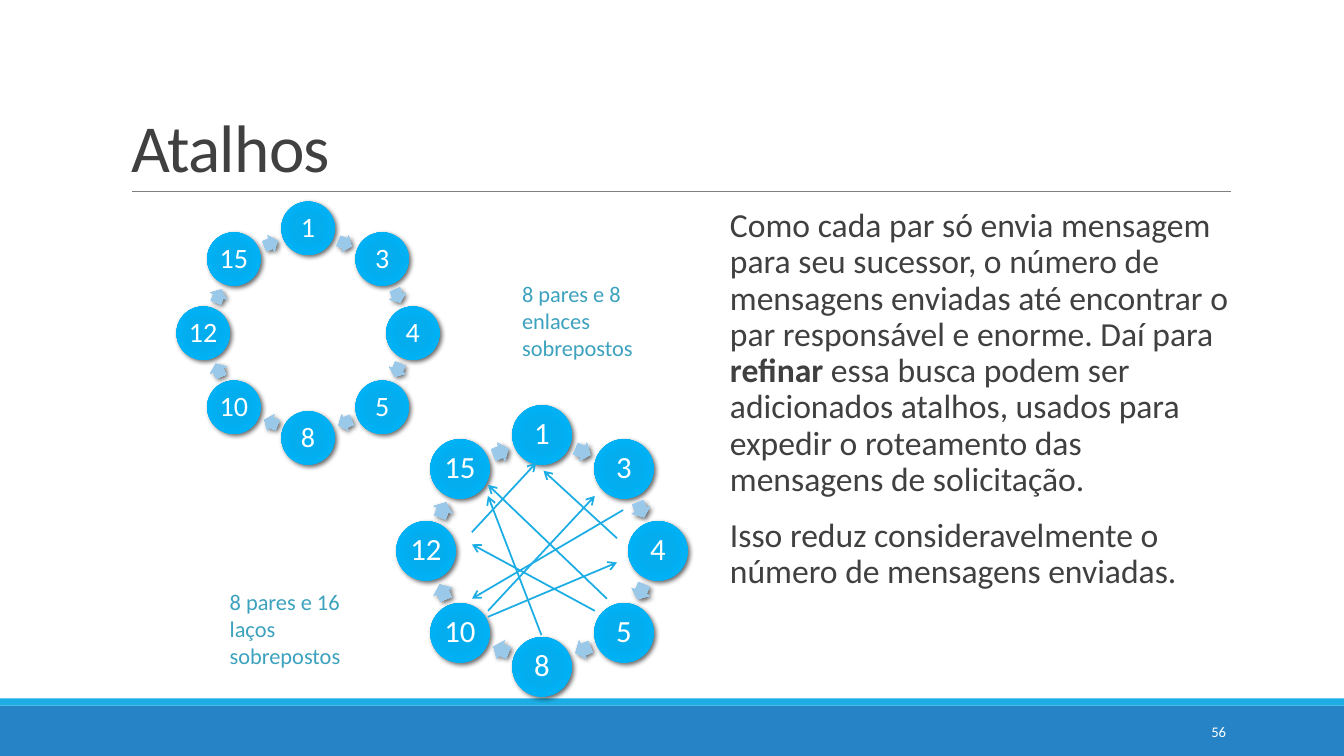
"""Builds the slide about shortcuts in a ring of peers."""
import math

import lxml.etree
import pptx
import pptx.dml.color
import pptx.enum.shapes
import pptx.enum.text
import pptx.oxml
import pptx.oxml.ns
import pptx.util

SHAPE = pptx.enum.shapes.MSO_SHAPE
ALIGN = pptx.enum.text.PP_ALIGN
ANCHOR = pptx.enum.text.MSO_ANCHOR
NONE = pptx.enum.text.MSO_AUTO_SIZE.NONE
PX = 9144
NAMESPACE = pptx.oxml.ns.nsdecls("a")

TITLE = "Atalhos"
BODY = [
    [
        ("Como cada par só envia mensagem para seu sucessor, o número de mensagens enviadas "
         "até encontrar o par responsável e enorme. Daí para ", False),
        ("refinar", True),
        (" essa busca podem ser adicionados atalhos, usados para expedir o roteamento das "
         "mensagens de solicitação.", False),
    ],
    [("Isso reduz consideravelmente o número de mensagens enviadas.", False)],
]
CAPTIONS = [
    ("8 pares e 8 enlaces sobrepostos", (508, 273, 153, 91)),
    ("8 pares e 16 laços sobrepostos", (218, 579, 153, 91)),
]
PAGE_NUMBER = "56"
BANDS = [((0, 700, 1333, 50), "2683C6"), ((0, 693, 1333, 7), "1CADE4")]
PEERS = ["1", "3", "4", "5", "8", "10", "12", "15"]
RINGS = [
    {"left": 393, "top": 402, "size": 289, "peer": 59, "arrow": (16, 20), "font": 22},
    {"left": 175, "top": 200, "size": 261, "peer": 53, "arrow": (14, 18), "font": 20},
]
SHORTCUTS = [
    (484, 606, 590, 492), (537, 630, 484, 492), (484, 612, 612, 558), (612, 534, 539, 467),
    (590, 606, 468, 540), (468, 528, 532, 459), (602, 594, 484, 481), (618, 506, 468, 594),
]
PEER_STOPS = [(0, "00ADEF"), (34, "03ADEE"), (70, "00B1F5"), (100, "12B1EE")]
ARROW_STOPS = [(0, "97C6E8"), (34, "9AC8E9"), (70, "9BCBEE"), (100, "A9D3F3")]


def color(value):
    return pptx.dml.color.RGBColor.from_string(value)


def scaled(lengths):
    return [round(length * PX) for length in lengths]


def apply(target, values):
    for name, value in values.items():
        setattr(target, name, value)


def format_frame(frame, margins=(10, 5, 10, 5), **values):
    sides = ("margin_left", "margin_top", "margin_right", "margin_bottom")
    apply(frame, dict(zip(sides, scaled(margins))))
    apply(frame, {"word_wrap": True, "auto_size": NONE, **values})


def write(paragraph, pieces, size, hex_color, **values):
    apply(paragraph, values)
    for text, bold in pieces:
        run = paragraph.add_run()
        run.text = text
        apply(run.font, {"name": "Calibri", "size": pptx.util.Pt(size), "bold": bold})
        run.font.color.rgb = color(hex_color)


def add_text(slide, box, text, size, hex_color, anchor=ANCHOR.TOP, **values):
    frame = slide.shapes.add_textbox(*scaled(box)).text_frame
    format_frame(frame, vertical_anchor=anchor)
    write(frame.paragraphs[0], [(text, False)], size, hex_color, **values)


def add_line(slide, ends, hex_color, width, arrow=False):
    line = slide.shapes.add_connector(
        pptx.enum.shapes.MSO_CONNECTOR.STRAIGHT, *scaled(ends))
    line.line.color.rgb = color(hex_color)
    line.line.width = pptx.util.Pt(width)
    properties = line._element.spPr
    if arrow:
        outline = properties.find(pptx.oxml.ns.qn("a:ln"))
        lxml.etree.SubElement(outline, pptx.oxml.ns.qn("a:tailEnd"), type="arrow")
    lxml.etree.SubElement(properties, pptx.oxml.ns.qn("a:effectLst"))


def add_glossy(slide, kind, center, size, stops):
    box = [middle - length / 2 for middle, length in zip(center, size)] + list(size)
    shape = slide.shapes.add_shape(kind, *scaled(box))
    shape.line.fill.background()
    shape.fill.background()
    shape.shadow.inherit = False
    properties = shape._element.spPr
    stop_list = "".join(
        f'<a:gs pos="{position * 1000}"><a:srgbClr val="{value}"/></a:gs>'
        for position, value in stops)
    gradient = pptx.oxml.parse_xml(
        f'<a:gradFill {NAMESPACE} rotWithShape="1"><a:gsLst>{stop_list}</a:gsLst>'
        '<a:path path="circle"><a:fillToRect l="100000" t="100000" r="100000" b="100000"/>'
        '</a:path></a:gradFill>')
    properties.replace(properties.find(pptx.oxml.ns.qn("a:noFill")), gradient)
    properties.find(pptx.oxml.ns.qn("a:effectLst")).append(pptx.oxml.parse_xml(
        f'<a:outerShdw {NAMESPACE} blurRad="44450" dist="25400" dir="2700000" algn="br" '
        'rotWithShape="0"><a:srgbClr val="000000"><a:alpha val="60000"/></a:srgbClr>'
        '</a:outerShdw>'))
    return shape


def add_ring(slide, ring):
    middle_x, middle_y = (ring[side] + ring["size"] / 2 for side in ("left", "top"))
    radius = (ring["size"] - ring["peer"]) / 2
    step = 360 / len(PEERS)

    def place(angle, distance):
        turn = math.radians(angle)
        return middle_x + distance * math.sin(turn), middle_y - distance * math.cos(turn)

    for index, name in enumerate(PEERS):
        peer = add_glossy(slide, SHAPE.OVAL, place(index * step, radius),
                          (ring["peer"], ring["peer"]), PEER_STOPS)
        format_frame(peer.text_frame, (3, 3, 3, 3), word_wrap=False,
                     vertical_anchor=ANCHOR.MIDDLE)
        write(peer.text_frame.paragraphs[0], [(name, False)], ring["font"], "FFFFFF",
              alignment=ALIGN.CENTER, line_spacing=0.9)
        angle = (index + 0.5) * step
        chord = radius * math.cos(math.radians(step / 2))
        arrow = add_glossy(slide, SHAPE.RIGHT_ARROW, place(angle, chord), ring["arrow"],
                           ARROW_STOPS)
        arrow.adjustments[0] = 0.6
        arrow.rotation = angle


def main():
    presentation = pptx.Presentation()
    apply(presentation, dict(zip(("slide_width", "slide_height"), scaled((1333, 750)))))
    slide = presentation.slides.add_slide(presentation.slide_layouts[5])
    for box, value in BANDS:
        band = slide.shapes.add_shape(SHAPE.RECTANGLE, *scaled(box))
        band.shadow.inherit = False
        band.fill.solid()
        band.fill.fore_color.rgb = color(value)
        band.line.fill.background()
    add_line(slide, (131, 190, 1221, 190), "808080", 0.5)

    title = slide.shapes.title
    apply(title, dict(zip(("left", "top", "width", "height"), scaled((120, 31, 1100, 159)))))
    format_frame(title.text_frame, vertical_anchor=ANCHOR.BOTTOM)
    write(title.text_frame.paragraphs[0], [(TITLE, False)], 48, "404040",
          alignment=ALIGN.LEFT, line_spacing=0.85)
    title.text_frame.paragraphs[0].runs[0]._r.get_or_add_rPr().set("spc", "-50")

    body = slide.shapes.add_textbox(*scaled((724, 202, 496, 488))).text_frame
    format_frame(body, (0, 5, 0, 5))
    for index, pieces in enumerate(BODY):
        paragraph = body.add_paragraph() if index else body.paragraphs[0]
        write(paragraph, pieces, 24, "404040", line_spacing=0.9,
              space_before=pptx.util.Pt(12 if index else 0), space_after=pptx.util.Pt(2))

    add_text(slide, (1083, 706, 143, 40), PAGE_NUMBER, 10.5, "FFFFFF", ANCHOR.MIDDLE,
             alignment=ALIGN.RIGHT)
    for ring in RINGS:
        add_ring(slide, ring)
    for ends in SHORTCUTS:
        add_line(slide, ends, "1CADE4", 1.25, arrow=True)
    for text, box in CAPTIONS:
        add_text(slide, box, text, 16, "3CA2BE")
    presentation.save("out.pptx")


if __name__ == "__main__":
    main()
